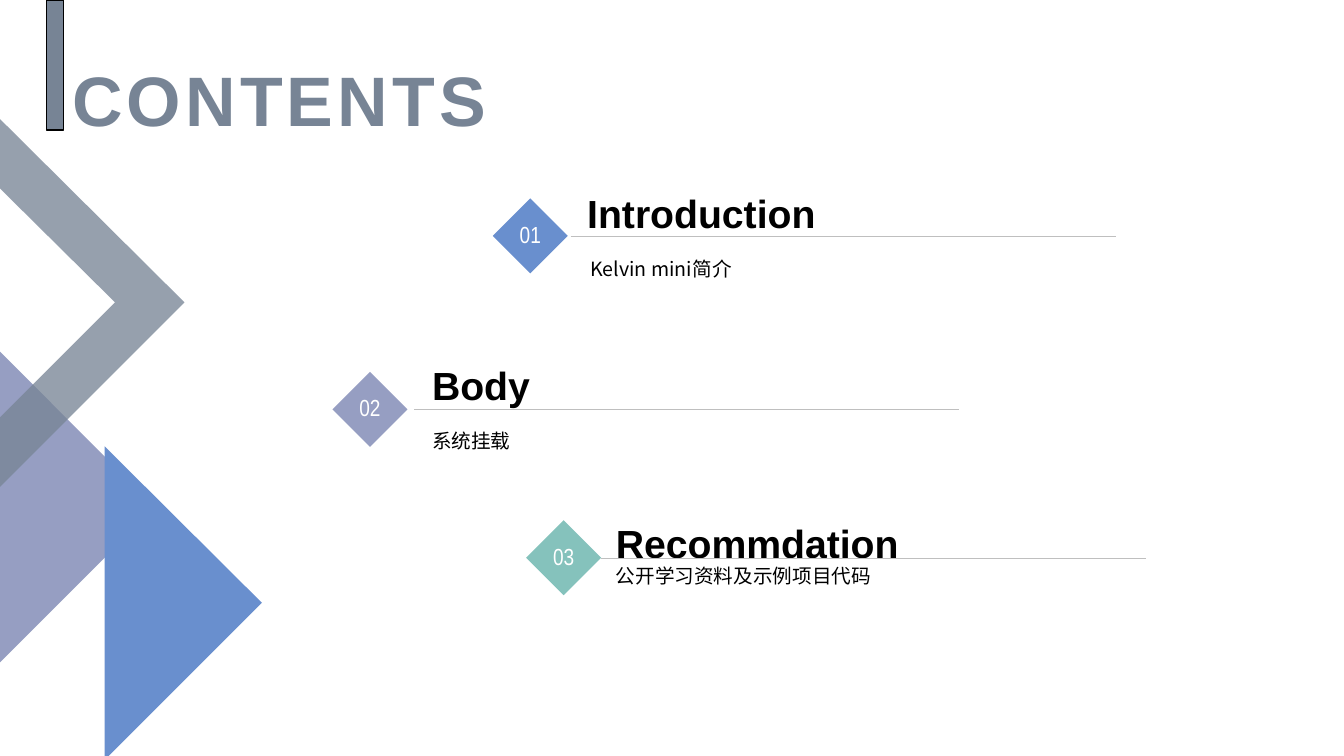
"""Build a contents slide with three numbered sections."""
from dataclasses import dataclass

from lxml.etree import SubElement
from pptx import Presentation
from pptx.dml.color import RGBColor
from pptx.enum.shapes import MSO_CONNECTOR, MSO_SHAPE
from pptx.enum.text import MSO_ANCHOR, MSO_AUTO_SIZE, PP_ALIGN
from pptx.oxml.ns import qn
from pptx.shapes.autoshape import Shape
from pptx.slide import Slide
from pptx.text.text import TextFrame
from pptx.util import Cm, Pt

SLATE = RGBColor(0x77, 0x84, 0x95)
VIOLET = RGBColor(0x96, 0x9E, 0xC2)
BLUE = RGBColor(0x69, 0x8F, 0xCE)
TEAL = RGBColor(0x85, 0xC2, 0xBC)
GREY = RGBColor(0xBF, 0xBF, 0xBF)
BLACK = RGBColor(0x00, 0x00, 0x00)
WHITE = RGBColor(0xFF, 0xFF, 0xFF)

CHINESE_FONT = "Noto Sans CJK SC"
DIAMOND_SIZE = 1.89
TEXT_WIDTH = 11.91
RULE_LENGTH = 13.74


@dataclass(frozen=True)
class Outline:
    points: tuple[tuple[float, float], ...]
    color: RGBColor
    opacity: int = 100


@dataclass(frozen=True)
class Section:
    heading: str
    detail: str
    color: RGBColor
    diamond: tuple[float, float]
    heading_at: tuple[float, float]
    detail_at: tuple[float, float]
    rule_left: float


OUTLINES = (
    Outline(((-0.05, 16.74), (-0.05, 8.81), (3.91, 12.78)), VIOLET),
    Outline(((2.64, 11.25), (6.6, 15.19), (2.64, 19.15)), BLUE),
    Outline(
        ((4.65, 7.62), (-0.05, 12.32), (-0.05, 10.57),
         (2.9, 7.62), (-0.05, 4.7), (-0.05, 2.95)),
        SLATE,
        opacity=77,
    ),
)

SECTIONS = (
    Section("Introduction", "Kelvin mini简介", BLUE,
            (12.42, 5.0), (14.55, 5.16), (14.63, 6.22), 14.38),
    Section("Body", "系统挂载", VIOLET,
            (8.38, 9.37), (10.64, 9.5), (10.64, 10.57), 10.44),
    Section("Recommdation", "公开学习资料及示例项目代码", TEAL,
            (13.26, 13.11), (15.27, 13.49), (15.27, 13.97), 15.14),
)


def fill_shape(shape: Shape, color: RGBColor) -> None:
    """Give a shape a plain fill without line or shadow."""
    shape.shadow.inherit = False
    shape.fill.solid()
    shape.fill.fore_color.rgb = color
    shape.line.fill.background()


def write(frame: TextFrame, text: str, size: float, font: str, color: RGBColor,
          align: PP_ALIGN = PP_ALIGN.LEFT, anchor: MSO_ANCHOR = MSO_ANCHOR.MIDDLE,
          bold: bool = False, wrap: bool = False, line_spacing: float = 1.0) -> None:
    """Put one formatted paragraph into a text frame."""
    frame.text = text
    frame.auto_size = MSO_AUTO_SIZE.NONE
    frame.word_wrap = wrap
    frame.vertical_anchor = anchor
    paragraph = frame.paragraphs[0]
    paragraph.alignment = align
    paragraph.line_spacing = line_spacing
    run = paragraph.runs[0]
    run.font.size = Pt(size)
    run.font.name = font
    run.font.bold = bold
    run.font.color.rgb = color
    if font == CHINESE_FONT:
        SubElement(run.font._element, qn("a:ea")).set("typeface", font)


def add_outline(slide: Slide, outline: Outline) -> None:
    """Draw a closed outline, see-through if its opacity is below 100."""
    start, *others = [(Cm(x), Cm(y)) for x, y in outline.points]
    builder = slide.shapes.build_freeform(*start)
    builder.add_line_segments(others, close=True)
    shape = builder.convert_to_shape()
    fill_shape(shape, outline.color)
    if outline.opacity < 100:
        color_element = shape._element.spPr.find(f".//{qn('a:srgbClr')}")
        SubElement(color_element, qn("a:alpha")).set("val", str(outline.opacity * 1000))


def add_title(slide: Slide) -> None:
    """Place the title and the bar beside it."""
    title = slide.shapes.title
    title.left, title.top, title.width, title.height = Cm(1.27), Cm(1.07), Cm(11.25), Cm(2.82)
    write(title.text_frame, "CONTENTS", 50, "Arial", SLATE,
          align=PP_ALIGN.RIGHT, bold=True, wrap=True)
    title.text_frame.paragraphs[0].runs[0].font._element.set("spc", "300")
    bar = slide.shapes.add_shape(MSO_SHAPE.RECTANGLE, Cm(1.17), Cm(0), Cm(0.43), Cm(3.28))
    fill_shape(bar, SLATE)
    bar.line.color.rgb = BLACK
    bar.line.width = Pt(1)


def add_section(slide: Slide, number: int, section: Section) -> None:
    """Draw a numbered diamond, a rule, a heading and a detail line."""
    left, top = section.diamond
    diamond = slide.shapes.add_shape(
        MSO_SHAPE.DIAMOND, Cm(left), Cm(top), Cm(DIAMOND_SIZE), Cm(DIAMOND_SIZE))
    fill_shape(diamond, section.color)
    write(diamond.text_frame, f"{number:02}", 16.6, "Arial Narrow", WHITE,
          align=PP_ALIGN.CENTER, line_spacing=0.9)

    heading_left, heading_top = section.heading_at
    heading = slide.shapes.add_textbox(
        Cm(heading_left), Cm(heading_top), Cm(TEXT_WIDTH), Cm(0.91))
    write(heading.text_frame, section.heading, 28, "Arial", BLACK,
          anchor=MSO_ANCHOR.BOTTOM, bold=True)

    detail_left, detail_top = section.detail_at
    detail = slide.shapes.add_textbox(
        Cm(detail_left), Cm(detail_top), Cm(TEXT_WIDTH), Cm(0.97))
    write(detail.text_frame, section.detail, 14, CHINESE_FONT, BLACK,
          wrap=True, line_spacing=1.2)

    middle = Cm(top + DIAMOND_SIZE / 2)
    rule = slide.shapes.add_connector(
        MSO_CONNECTOR.STRAIGHT, Cm(section.rule_left), middle,
        Cm(section.rule_left + RULE_LENGTH), middle)
    rule.line.color.rgb = GREY
    rule.line.width = Pt(0.25)
    SubElement(rule._element.spPr, qn("a:effectLst"))


def main() -> None:
    """Build and save the presentation."""
    presentation = Presentation()
    presentation.slide_width = Cm(33.87)
    presentation.slide_height = Cm(19.05)
    slide = presentation.slides.add_slide(presentation.slide_layouts[5])
    for outline in OUTLINES:
        add_outline(slide, outline)
    add_title(slide)
    for number, section in enumerate(SECTIONS, start=1):
        add_section(slide, number, section)
    presentation.save("out.pptx")


if __name__ == "__main__":
    main()
